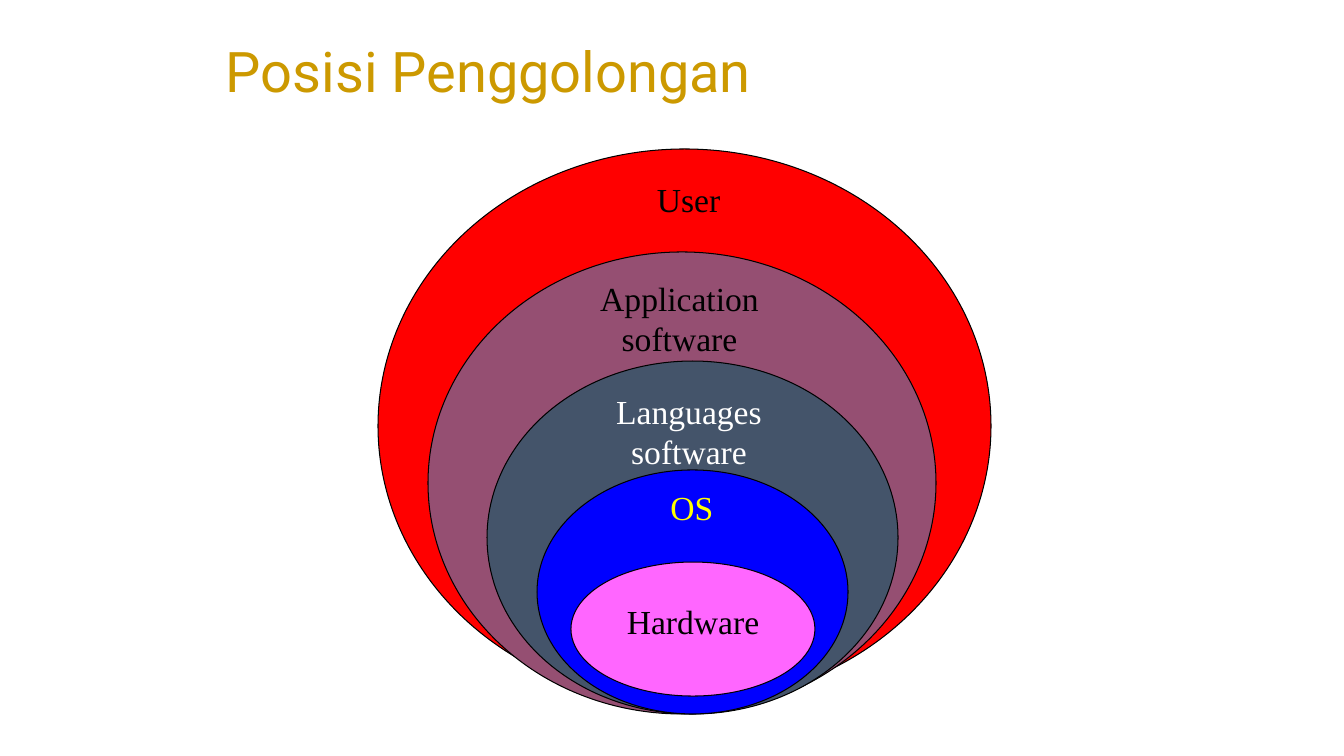
"""Build the slide of nested ellipses from the user down to the hardware."""
from dataclasses import dataclass

from pptx import Presentation
from pptx.dml.color import RGBColor
from pptx.enum.shapes import MSO_SHAPE
from pptx.enum.text import MSO_ANCHOR, PP_ALIGN
from pptx.util import Pt

EMU_PER_PX = 914400 / 100.8


@dataclass(frozen=True)
class Theme:
    title_font: str = "Roboto"
    label_font: str = "Times New Roman"
    title_size: int = 40
    label_size: int = 24
    outline_width: float = 0.75
    gold: str = "CC9900"
    black: str = "000000"
    white: str = "FFFFFF"
    yellow: str = "FFFF00"
    red: str = "FF0000"
    plum: str = "954F72"
    slate: str = "44546A"
    blue: str = "0000FF"
    pink: str = "FF66FF"


theme = Theme()


def px(*lengths):
    return [round(length * EMU_PER_PX) for length in lengths]


def add_text(box, text, font, size, color, align, anchor):
    textbox = slide.shapes.add_textbox(*px(*box))
    frame = textbox.text_frame
    frame.word_wrap = True
    frame.vertical_anchor = anchor
    frame.text = text
    paragraph = frame.paragraphs[0]
    paragraph.alignment = align
    for run in paragraph.runs:
        run.font.name = font
        run.font.size = Pt(size)
        run.font.color.rgb = RGBColor.from_string(color)


prs = Presentation()
prs.slide_width, prs.slide_height = px(1344, 756)
slide = prs.slides.add_slide(prs.slide_layouts[6])

add_text((216, 31, 920, 78), "Posisi Penggolongan", theme.title_font,
         theme.title_size, theme.gold, PP_ALIGN.LEFT, MSO_ANCHOR.BOTTOM)

layers = [
    ("User", (378, 149, 613, 554), theme.red, (638, 174, 101, 50), theme.black),
    ("Application software", (428, 252, 508, 462), theme.plum, (537, 273, 285, 92), theme.black),
    ("Languages\vsoftware", (487, 361, 411, 353), theme.slate, (605, 386, 168, 92), theme.white),
    ("OS", (537, 470, 311, 244), theme.blue, (622, 482, 140, 50), theme.yellow),
    ("Hardware", (571, 562, 244, 134), theme.pink, (605, 596, 176, 50), theme.black),
]

for name, ellipse_box, fill, label_box, label_color in layers:
    ellipse = slide.shapes.add_shape(MSO_SHAPE.OVAL, *px(*ellipse_box))
    ellipse.shadow.inherit = False
    ellipse.fill.solid()
    ellipse.fill.fore_color.rgb = RGBColor.from_string(fill)
    ellipse.line.color.rgb = RGBColor.from_string(theme.black)
    ellipse.line.width = Pt(theme.outline_width)
    add_text(label_box, name, theme.label_font, theme.label_size,
             label_color, PP_ALIGN.CENTER, MSO_ANCHOR.TOP)

prs.save("out.pptx")
